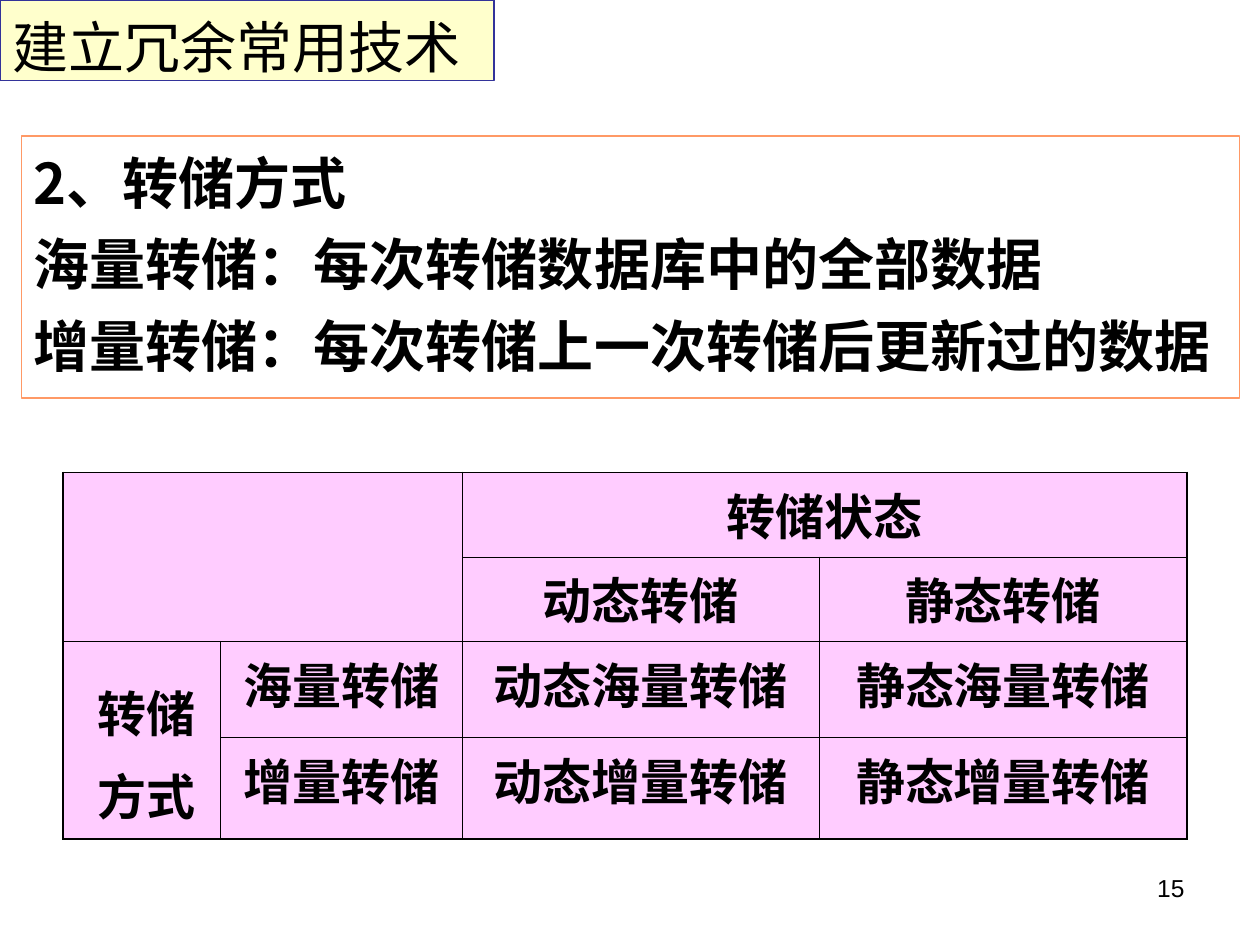
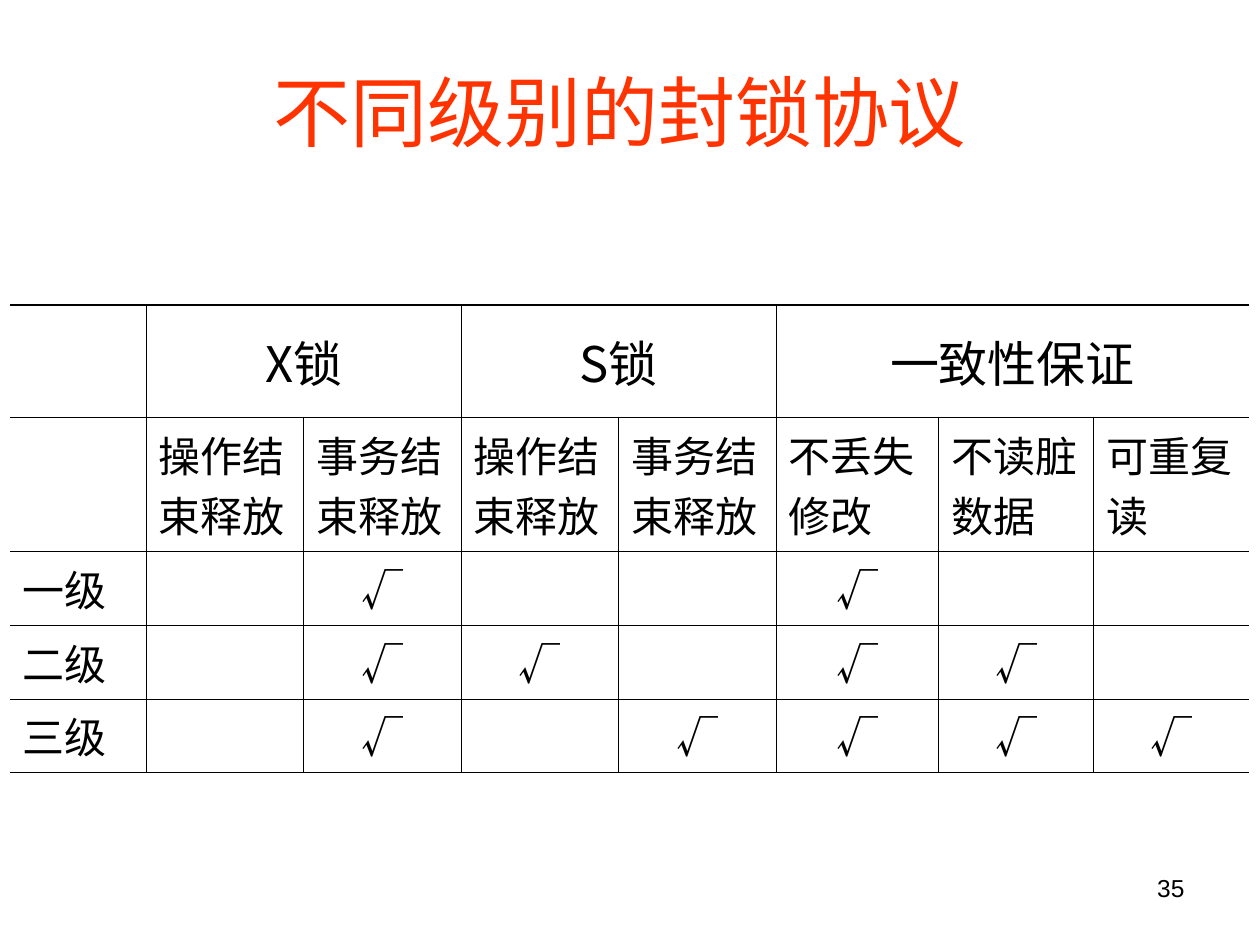
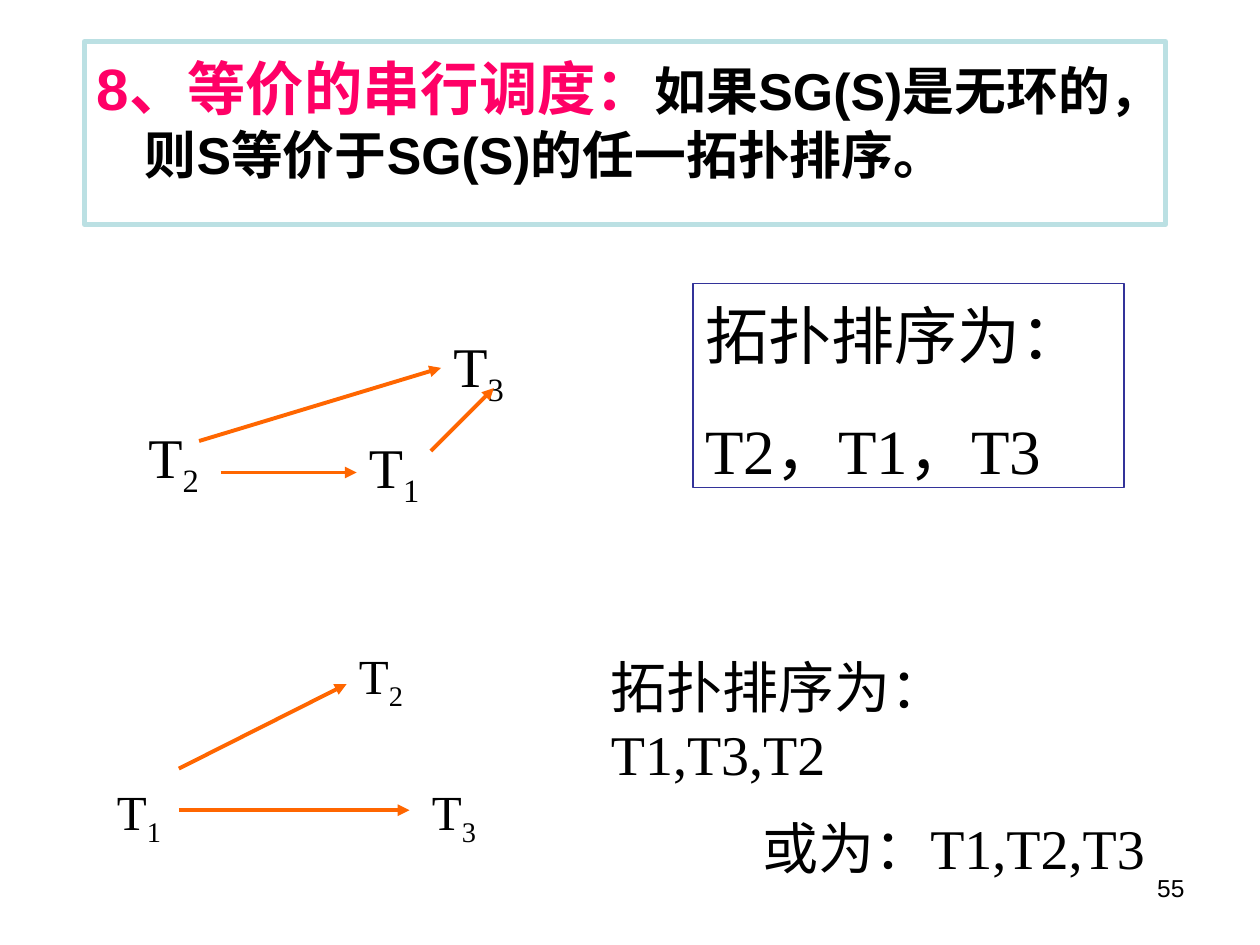
from dataclasses import dataclass
from typing import Optional

import pptx
import pptx.dml.color
import pptx.enum.dml
import pptx.enum.shapes
import pptx.enum.text
import pptx.oxml
import pptx.oxml.ns
import pptx.util
from lxml import etree

Inches = pptx.util.Inches
Pt = pptx.util.Pt
RGBColor = pptx.dml.color.RGBColor
Align = pptx.enum.text.PP_ALIGN
Anchor = pptx.enum.text.MSO_ANCHOR
qn = pptx.oxml.ns.qn

BLACK = RGBColor(0x00, 0x00, 0x00)
WHITE = RGBColor(0xFF, 0xFF, 0xFF)
CREAM = RGBColor(0xFF, 0xFF, 0xCC)
NAVY = RGBColor(0x33, 0x33, 0x99)
SALMON = RGBColor(0xFF, 0x99, 0x66)
PINK = RGBColor(0xFF, 0xCC, 0xFF)
RED = RGBColor(0xFF, 0x33, 0x00)
MAGENTA = RGBColor(0xFF, 0x00, 0x66)
PALE_TEAL = RGBColor(0xBB, 0xE0, 0xE3)
ORANGE = RGBColor(0xFF, 0x66, 0x00)

SANS = "Arial"
SERIF = "Times New Roman"
CHINESE = "Noto Sans CJK SC"

TITLE_ONLY, BLANK = 5, 6
THIN, THICK = 0.45, 1.08
NO_STYLE = "{2D5ABB26-0587-4C30-8999-92F81FD0307C}"
SIDES = ("L", "R", "T", "B")


@dataclass(frozen=True)
class Span:
    text: str
    size: float
    font: str = SERIF
    color: RGBColor = BLACK
    bold: bool = False
    subscript: bool = False


@dataclass(frozen=True)
class Para:
    spans: tuple[Span, ...]
    align: Align = Align.LEFT
    before: float = 0
    line_spacing: Optional[float] = None
    exact: bool = False  # line_spacing counts points instead of lines
    left: float = 0
    hanging: float = 0


@dataclass(frozen=True)
class Box:
    left: float
    top: float
    width: float
    height: float
    fill: Optional[RGBColor] = None
    outline: Optional[RGBColor] = None
    outline_width: float = 0.75
    anchor: Anchor = Anchor.TOP
    top_inset: float = 0.1
    right_inset: float = 0.1


@dataclass(frozen=True)
class Arrow:
    x1: float
    y1: float
    x2: float
    y2: float


@dataclass(frozen=True)
class Node:
    number: int
    left: float
    top: float
    width: float
    height: float
    size: float


def write_paras(frame, paras: list[Para]) -> None:
    for index, item in enumerate(paras):
        para = frame.paragraphs[0] if index == 0 else frame.add_paragraph()
        para.alignment = item.align
        para.space_before = Pt(item.before if index else 0)
        if item.line_spacing:
            para.line_spacing = Pt(item.line_spacing) if item.exact else item.line_spacing
        if item.left:
            properties = para._p.get_or_add_pPr()
            properties.set("marL", str(Inches(item.left)))
            properties.set("indent", str(-Inches(item.hanging)))
        for piece in item.spans:
            span = para.add_run()
            span.text = piece.text
            span.font.size = Pt(piece.size)
            span.font.bold = piece.bold
            span.font.color.rgb = piece.color
            span.font.name = piece.font
            properties = span._r.get_or_add_rPr()
            etree.SubElement(properties, qn("a:ea")).set("typeface", CHINESE)
            if piece.subscript:
                properties.set("baseline", "-25000")


def format_box(shape, box: Box, paras: list[Para]) -> None:
    shape.left, shape.top = Inches(box.left), Inches(box.top)
    shape.width, shape.height = Inches(box.width), Inches(box.height)
    if box.fill is not None:
        shape.fill.solid()
        shape.fill.fore_color.rgb = box.fill
    if box.outline is not None:
        shape.line.color.rgb = box.outline
        shape.line.width = Pt(box.outline_width)
    frame = shape.text_frame
    frame.word_wrap = True
    frame.auto_size = pptx.enum.text.MSO_AUTO_SIZE.NONE
    frame.vertical_anchor = box.anchor
    frame.margin_left, frame.margin_right = Inches(0.1), Inches(box.right_inset)
    frame.margin_top, frame.margin_bottom = Inches(box.top_inset), Inches(0.05)
    write_paras(frame, paras)


def add_box(page, box: Box, paras: list[Para]) -> None:
    if box.outline is None:
        shape = page.shapes.add_textbox(0, 0, 0, 0)
    else:
        shape = page.shapes.add_shape(pptx.enum.shapes.MSO_SHAPE.RECTANGLE, 0, 0, 0, 0)
        shape.shadow.inherit = False
    format_box(shape, box, paras)


def chinese_para(text: str, size: float, before: float = 0, font: str = SERIF,
                 bold: bool = False, left: float = 0, hanging: float = 0) -> Para:
    """A left-aligned paragraph set tight, at 1.2 times its size."""
    return Para((Span(text, size, font, bold=bold),), before=before,
                line_spacing=round(size * 1.2, 1), exact=True, left=left, hanging=hanging)


def add_page_number(page, number: int) -> None:
    add_box(page, Box(7.17, 6.83, 2.33, 0.52),
            [Para((Span(str(number), 14, SANS),), Align.RIGHT)])


def add_arrow(page, arrow: Arrow) -> None:
    connector = page.shapes.add_connector(
        pptx.enum.shapes.MSO_CONNECTOR.STRAIGHT,
        Inches(arrow.x1), Inches(arrow.y1), Inches(arrow.x2), Inches(arrow.y2))
    connector.line.color.rgb = ORANGE
    connector.line.width = Pt(2.25)
    properties = connector._element.spPr
    outline = properties.find(qn("a:ln"))
    etree.SubElement(outline, qn("a:tailEnd")).set("type", "triangle")
    etree.SubElement(properties, qn("a:effectLst"))


def add_node(page, node: Node) -> None:
    add_box(page, Box(node.left, node.top, node.width, node.height),
            [Para((Span("T", node.size), Span(str(node.number), node.size, subscript=True)))])


def set_borders(cell, widths: dict[str, float]) -> None:
    """Draw the four cell borders; a width of 0 leaves that side open."""
    properties = cell._tc.get_or_add_tcPr()
    for side in SIDES:
        line = etree.SubElement(properties, qn(f"a:ln{side}"))
        if widths[side]:
            line.set("w", str(Pt(widths[side])))
            fill = etree.SubElement(line, qn("a:solidFill"))
            etree.SubElement(fill, qn("a:srgbClr")).set("val", str(BLACK))
        else:
            line.set("w", "0")
            etree.SubElement(line, qn("a:noFill"))


def add_grid(page, left: float, top: float, columns: list[float], rows: list[float],
             fill: Optional[RGBColor], side_border: float,
             merges: list[tuple[int, int, int, int]]):
    """Add an empty bordered table; merges list first and last row and column."""
    table = page.shapes.add_table(
        len(rows), len(columns), Inches(left), Inches(top),
        Inches(sum(columns)), Inches(sum(rows))).table
    table.first_row = table.horz_banding = False
    table._tbl.tblPr.find(qn("a:tableStyleId")).text = NO_STYLE
    for column, width in zip(table.columns, columns):
        column.width = Inches(width)
    for row, height in zip(table.rows, rows):
        row.height = Inches(height)
    for first_row, first_column, last_row, last_column in merges:
        table.cell(first_row, first_column).merge(table.cell(last_row, last_column))
    for r in range(len(rows)):
        for c in range(len(columns)):
            cell = table.cell(r, c)
            last_row = r + (cell.span_height if cell.is_merge_origin else 1)
            last_column = c + (cell.span_width if cell.is_merge_origin else 1)
            set_borders(cell, {
                "L": THIN if c else side_border,
                "R": THIN if last_column < len(columns) else side_border,
                "T": THIN if r else THICK,
                "B": THIN if last_row < len(rows) else THICK})
            if fill is None:
                cell.fill.background()
            else:
                cell.fill.solid()
                cell.fill.fore_color.rgb = fill
            cell.margin_left = cell.margin_right = Inches(0.1)
            cell.margin_top = cell.margin_bottom = Inches(0.05)
    return table


def build_dump_page(deck) -> None:
    page = deck.slides.add_slide(deck.slide_layouts[TITLE_ONLY])
    format_box(page.shapes.title, Box(0, 0, 3.92, 0.64, CREAM, NAVY),
               [chinese_para("建立冗余常用技术", 32)])
    lines = ("2、转储方式", "海量转储：每次转储数据库中的全部数据",
             "增量转储：每次转储上一次转储后更新过的数据")
    add_box(page, Box(0.17, 1.08, 9.67, 2.08, WHITE, SALMON),
            [chinese_para(line, 32, 8, CHINESE, True, 0.38, 0.38) for line in lines])

    table = add_grid(page, 0.5, 3.75, [1.25, 1.92, 2.83, 2.92], [0.67, 0.67, 0.76, 0.81],
                     PINK, THICK, [(0, 0, 1, 1), (0, 2, 0, 3), (2, 0, 3, 0)])
    labels = {
        (0, 2): "转储状态", (1, 2): "动态转储", (1, 3): "静态转储",
        (2, 1): "海量转储", (2, 2): "动态海量转储", (2, 3): "静态海量转储",
        (3, 1): "增量转储", (3, 2): "动态增量转储", (3, 3): "静态增量转储"}
    for (row, column), text in labels.items():
        write_paras(table.cell(row, column).text_frame,
                    [Para((Span(text, 28, SANS, bold=True),), Align.CENTER)])
    method = table.cell(2, 0)
    method.margin_left = Inches(0.18)
    write_paras(method.text_frame, [
        Para((Span("转储", 28, SANS, bold=True),), Align.CENTER, line_spacing=1.4),
        Para((Span("方式", 28, SANS, bold=True),), Align.CENTER, before=7)])
    add_page_number(page, 15)


def build_lock_page(deck) -> None:
    page = deck.slides.add_slide(deck.slide_layouts[TITLE_ONLY])
    format_box(page.shapes.title,
               Box(0.67, 0.25, 8.5, 1.25, anchor=Anchor.MIDDLE, top_inset=0.05),
               [Para((Span("不同级别的封锁协议", 44, SANS, RED),), Align.CENTER)])

    table = add_grid(page, 0.08, 2.42, [1.08] + [1.25] * 4 + [1.29, 1.23, 1.23],
                     [0.89, 1.07] + [0.58] * 3, None, 0,
                     [(0, 1, 0, 2), (0, 3, 0, 4), (0, 5, 0, 7)])
    for column, text in {1: "X锁", 3: "S锁", 5: "一致性保证"}.items():
        cell = table.cell(0, column)
        cell.vertical_anchor = Anchor.MIDDLE
        write_paras(cell.text_frame, [Para((Span(text, 28, CHINESE),), Align.CENTER)])
    release = ["操作结束释放", "事务结束释放"]
    body = [
        ["", *release, *release, "不丢失修改", "不读脏数据", "可重复读"],
        ["一级", "", "√", "", "", "√", "", ""],
        ["二级", "", "√", "√", "", "√", "√", ""],
        ["三级", "", "√", "", "√", "√", "√", "√"]]
    for row, texts in enumerate(body, start=1):
        for column, text in enumerate(texts):
            if text:
                align = Align.CENTER if text == "√" else Align.LEFT
                write_paras(table.cell(row, column).text_frame,
                            [Para((Span(text, 24, CHINESE),), align)])
    add_page_number(page, 35)


def build_schedule_page(deck) -> None:
    page = deck.slides.add_slide(deck.slide_layouts[BLANK])
    add_box(page, Box(0.67, 0.33, 8.58, 1.45, WHITE, PALE_TEAL, 3,
                      top_inset=0.14, right_inset=0.2),
            [Para((Span("8、等价的串行调度：", 33.3, SANS, MAGENTA, True),
                   Span("如果SG(S)是无环的，则S等价于SG(S)的任一拓扑排序。",
                        29.6, SANS, bold=True)),
                  line_spacing=36, exact=True, left=0.38, hanging=0.38)])
    add_box(page, Box(5.5, 2.25, 3.42, 1.62, WHITE, NAVY),
            [chinese_para("拓扑排序为：", 36), chinese_para("T2，T1，T3", 36, 22.5)])
    add_box(page, Box(4.75, 5.08, 4.67, 2.31, WHITE, right_inset=0.2),
            [chinese_para("拓扑排序为：T1,T3,T2", 32),
             chinese_para("或为：T1,T2,T3", 32, 15, left=1.2)])

    nodes = [
        Node(2, 1.08, 3.25, 0.83, 0.71, 32),
        Node(1, 2.83, 3.33, 0.67, 0.71, 32),
        Node(3, 3.5, 2.53, 0.92, 0.71, 32),
        Node(1, 0.83, 6.1, 0.75, 0.63, 28),
        Node(2, 2.75, 5.02, 0.75, 0.63, 28),
        Node(3, 3.33, 6.1, 0.75, 0.63, 28)]
    for node in nodes:
        add_node(page, node)
    arrows = [
        Arrow(1.75, 3.75, 2.83, 3.75),
        Arrow(3.42, 3.58, 3.92, 3.08),
        Arrow(1.58, 3.5, 3.5, 2.92),
        Arrow(1.42, 6.1, 2.75, 5.43),
        Arrow(1.42, 6.43, 3.25, 6.43)]
    for arrow in arrows:
        add_arrow(page, arrow)
    add_page_number(page, 55)


def main() -> None:
    deck = pptx.Presentation()
    deck.slide_width, deck.slide_height = Inches(10), Inches(7.5)
    build_dump_page(deck)
    build_lock_page(deck)
    build_schedule_page(deck)
    deck.save("out.pptx")


if __name__ == "__main__":
    main()
